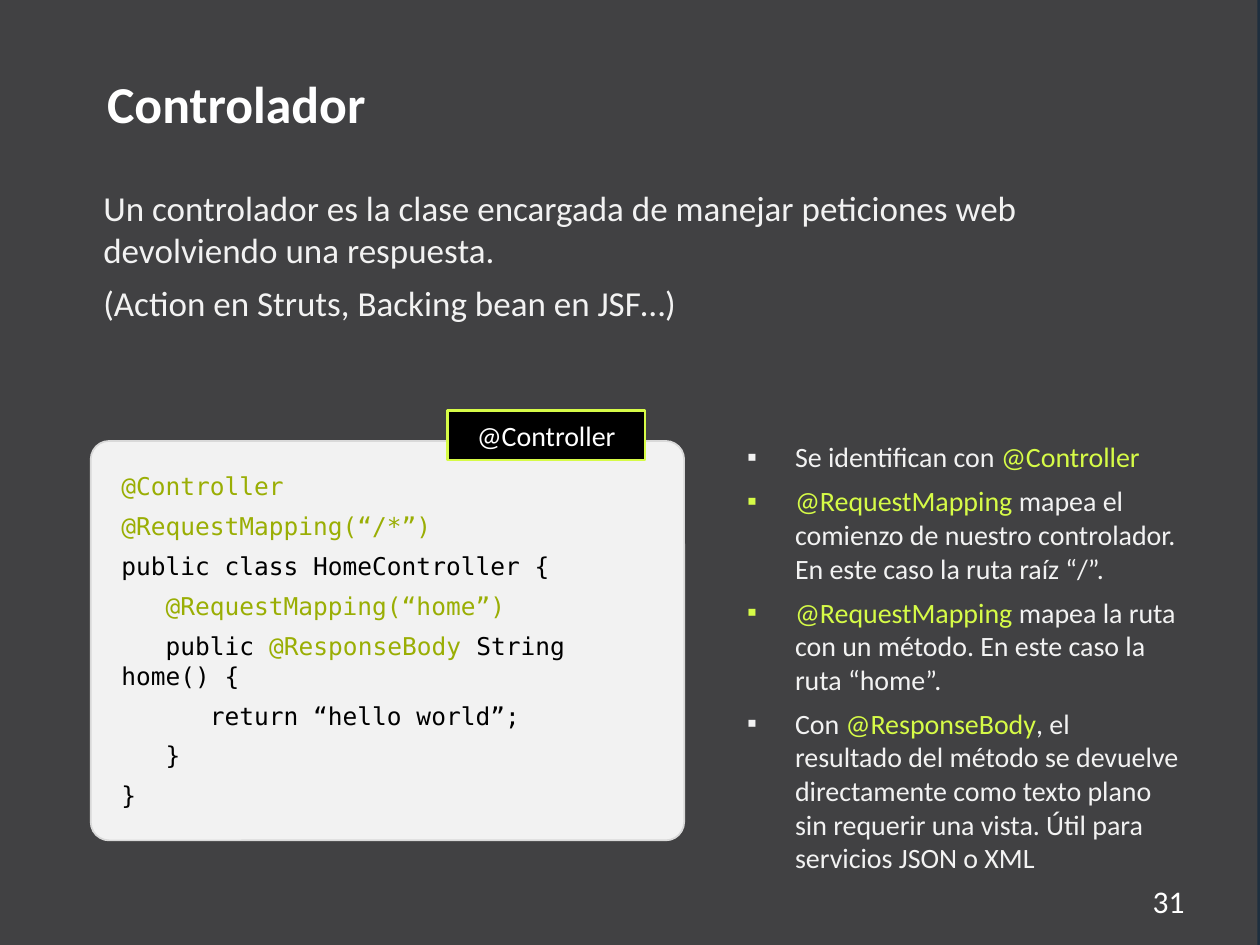
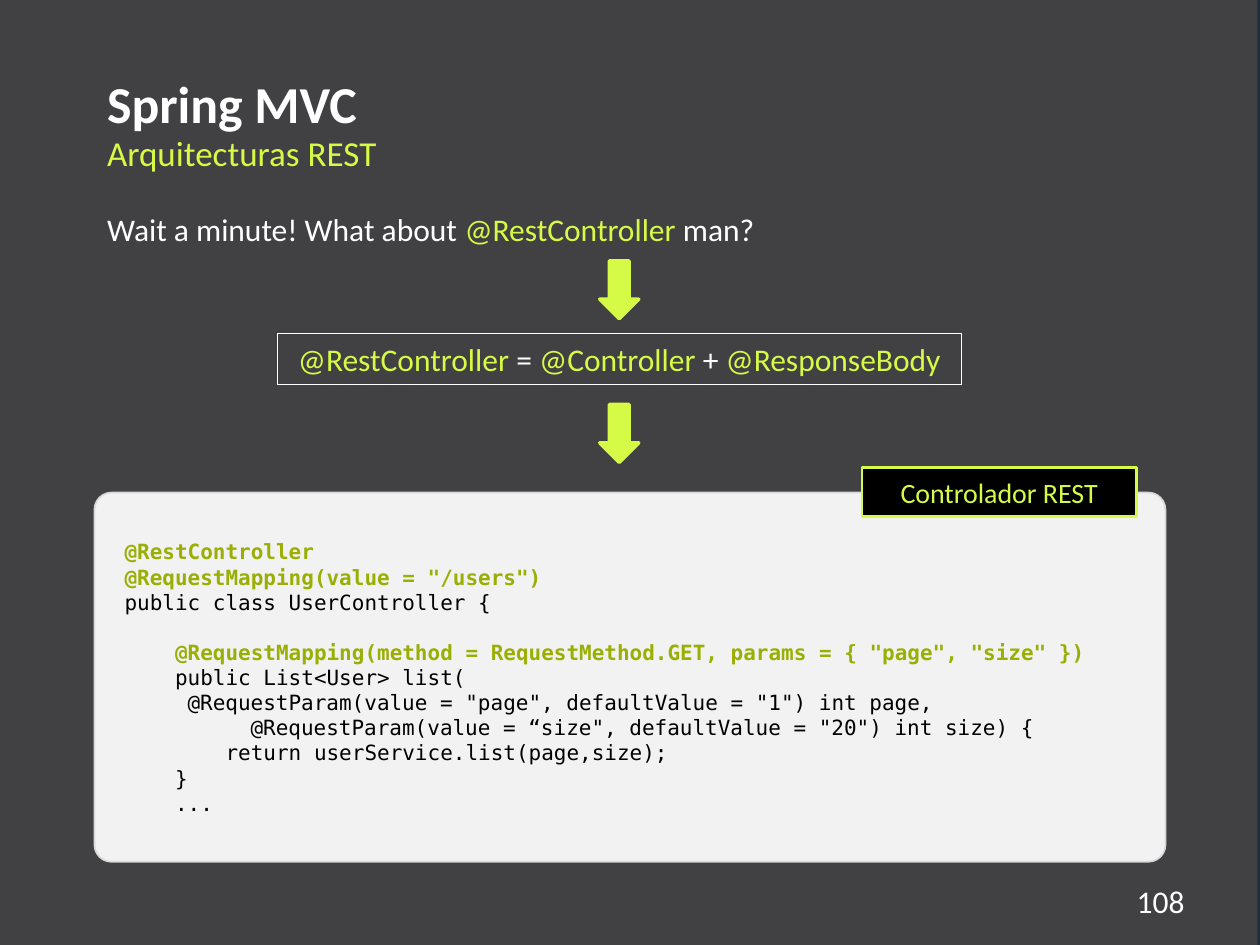
from lxml import etree
from pptx import Presentation
from pptx.dml.color import RGBColor
from pptx.enum.shapes import MSO_SHAPE
from pptx.enum.text import MSO_ANCHOR, MSO_AUTO_SIZE, PP_ALIGN
from pptx.oxml.ns import qn
from pptx.util import Inches, Pt

RECT, ROUNDED, ARROW = MSO_SHAPE.RECTANGLE, MSO_SHAPE.ROUNDED_RECTANGLE, MSO_SHAPE.DOWN_ARROW
LEFT, CENTER, RIGHT = PP_ALIGN.LEFT, PP_ALIGN.CENTER, PP_ALIGN.RIGHT
TOP, MIDDLE = MSO_ANCHOR.TOP, MSO_ANCHOR.MIDDLE

WIDTH, HEIGHT = 10, 7.5
MARGIN = 0.75
SANS, MONO = "Calibri", "DejaVu Sans Mono"
EDGE, GROUND = "1E2E3E", "414143"
WHITE, BLACK, PALE, RULE = "FFFFFF", "000000", "F2F2F2", "D9D9D9"
LIME, OLIVE = "D6FB47", "9AAE04"
INDENT = 0.38
TAB_STEP = 0.5
CODE_LINE = 14

# Text between bars takes the accent colour.
CONTROLLER = {
    "title": "Controlador",
    "number": "31",
    "intro": [
        "Un controlador es la clase encargada de manejar peticiones web devolviendo una respuesta.",
        "(Action en Struts, Backing bean en JSF…)",
    ],
    "points": [
        "Se identifican con |@Controller|",
        "|@RequestMapping |mapea el comienzo de nuestro controlador. En este caso la ruta raíz “/”.",
        "|@RequestMapping |mapea la ruta con un método. En este caso la ruta “home”.",
        "Con |@ResponseBody|, el resultado del método se devuelve directamente como texto plano "
        "sin requerir una vista. Útil para servicios JSON o XML",
    ],
    "tag": "@Controller",
    "code": [
        "|@Controller|",
        "|@RequestMapping(“/*”)|",
        "public class HomeController {",
        "|   @RequestMapping(“home”)|",
        "   public |@ResponseBody |String home() {",
        "      return “hello world”;",
        "   }",
        "}",
    ],
}
REST = {
    "title": "Spring MVC",
    "number": "108",
    "subtitle": "Arquitecturas REST",
    "question": "Wait a minute! What about |@RestController |man?",
    "formula": "|@RestController |= |@Controller |+ |@ResponseBody|",
    "tag": "|Controlador REST|",
    "code": [
        "|@RestController|",
        '|@RequestMapping(value = "/users")|',
        "public class UserController {",
        '|    @RequestMapping(method = RequestMethod.GET, params = { "page", "size" })|',
        "    public List<User> list(",
        '\t@RequestParam(value = "page", defaultValue = "1") int page,',
        '     \t@RequestParam(value = “size", defaultValue = "20") int size) {',
        "        return userService.list(page,size);",
        "    }",
        "    ...",
    ],
}


def colour(value):
    return RGBColor.from_string(value)


def set_marker(para, bullet, tabs):
    """Set the indent, the bullet and the tab stops of a paragraph."""
    props = para._p.get_or_add_pPr()
    indent = Inches(INDENT) if bullet else 0
    props.set("marL", str(indent))
    props.set("indent", str(-indent))
    if bullet:
        etree.SubElement(props, qn("a:buChar")).set("char", bullet)
    else:
        etree.SubElement(props, qn("a:buNone"))
    if tabs:
        stops = etree.SubElement(props, qn("a:tabLst"))
        for step in (1, 2):
            stop = etree.SubElement(stops, qn("a:tab"))
            stop.set("pos", str(Inches(step * TAB_STEP)))
            stop.set("algn", "l")


def write(box, lines, size=18, font=SANS, ink=WHITE, accent=LIME, bold=False,
          accent_bold=False, align=LEFT, anchor=TOP, after=0, bullet=None, inset=None, gaps=None):
    """Fill a box with lines; gaps maps a line index to its space before."""
    frame = box.text_frame
    frame.word_wrap = True
    frame.auto_size = MSO_AUTO_SIZE.NONE
    frame.vertical_anchor = anchor
    if inset is not None:
        frame.margin_left = frame.margin_right = Inches(inset)
        frame.margin_top = frame.margin_bottom = Inches(inset)
    for index, line in enumerate(lines):
        para = frame.add_paragraph() if index else frame.paragraphs[0]
        para.alignment = align
        para.space_before = Pt((gaps or {}).get(index, 0))
        para.space_after = Pt(after)
        set_marker(para, bullet, "\t" in line)
        for place, piece in enumerate(line.split("|")):
            if not piece:
                continue
            marked = place % 2 == 1
            span = para.add_run()
            span.text = piece
            span.font.size = Pt(size)
            span.font.name = font
            span.font.bold = bold or (marked and accent_bold)
            span.font.color.rgb = colour(accent if marked else ink)


def place(box, left, top, width, height):
    box.left, box.top, box.width, box.height = map(Inches, (left, top, width, height))
    return box


def add_figure(page, kind, area, fill=None, line=None, weight=1):
    figure = page.shapes.add_shape(kind, *map(Inches, area))
    figure.shadow.inherit = False
    if fill:
        figure.fill.solid()
        figure.fill.fore_color.rgb = colour(fill)
    else:
        figure.fill.background()
    if line:
        figure.line.color.rgb = colour(line)
        figure.line.width = Pt(weight)
    else:
        figure.line.fill.background()
    return figure


def add_code(page, content, area, tag_area, **style):
    """Draw a code panel with its name tag over the top edge."""
    panel = add_figure(page, ROUNDED, area, PALE, RULE)
    panel.adjustments[0] = 0.046
    write(panel, content["code"], font=MONO, ink=BLACK, accent=OLIVE,
          anchor=MIDDLE, inset=0.2, **style)
    tag = add_figure(page, RECT, tag_area, BLACK, LIME, 1.5)
    write(tag, [content["tag"]], size=16, align=CENTER, anchor=MIDDLE)


def start_page(deck, content):
    """Add a slide with title and number; return it with its two body placeholders."""
    page = deck.slides.add_slide(deck.slide_layouts.get_by_name("Two Content"))
    title, first, second = page.placeholders
    write(place(title, MARGIN, 0.52, 8.11, 0.55), [content["title"]], size=29.6, bold=True)
    number = page.shapes.add_textbox(*map(Inches, (8.54, 6.95, 0.96, 0.4)))
    write(number, [content["number"]], align=RIGHT)
    return page, first, second


def paint_master(deck, page):
    """Give every slide the dark ground with a thin blue right edge."""
    master = deck.slide_master
    master.background.fill.solid()
    master.background.fill.fore_color.rgb = colour(EDGE)
    ground = add_figure(page, RECT, (-0.04, 0, WIDTH + 0.02, HEIGHT), GROUND)
    master.shapes.element.insert(2, ground.element)


def build_controller(deck):
    page, intro, points = start_page(deck, CONTROLLER)
    paint_master(deck, page)
    write(place(intro, 0.72, 1.43, 8.75, 1.3), CONTROLLER["intro"], size=20, ink=PALE, after=6)
    write(place(points, 5.83, 3.44, 3.64, 3.5), CONTROLLER["points"],
          size=16, ink=PALE, after=6, bullet="▪")
    add_code(page, CONTROLLER, (0.72, 3.5, 4.71, 3.17), (3.55, 3.26, 1.57, 0.39),
             size=14, after=6)


def build_rest(deck):
    page, subtitle, question = start_page(deck, REST)
    write(place(subtitle, MARGIN, 0.99, 8.75, 0.47), [REST["subtitle"]], size=20, ink=LIME)
    write(place(question, MARGIN, 1.62, 8.35, 0.4), [REST["question"]])
    formula = add_figure(page, RECT, (2.2, 2.65, 5.43, 0.4), line=WHITE, weight=0.75)
    write(formula, [REST["formula"]], align=CENTER, anchor=MIDDLE)
    for top in (2.07, 3.21):
        add_figure(page, ARROW, (4.76, top, 0.31, 0.46), LIME, LIME, 2)
    add_code(page, REST, (MARGIN, 3.91, WIDTH - 2 * MARGIN, 2.93), (6.84, 3.71, 2.18, 0.39),
             size=12, accent_bold=True, gaps={3: CODE_LINE})


def main():
    deck = Presentation()
    deck.slide_width, deck.slide_height = Inches(WIDTH), Inches(HEIGHT)
    build_controller(deck)
    build_rest(deck)
    deck.save("out.pptx")


if __name__ == "__main__":
    main()
